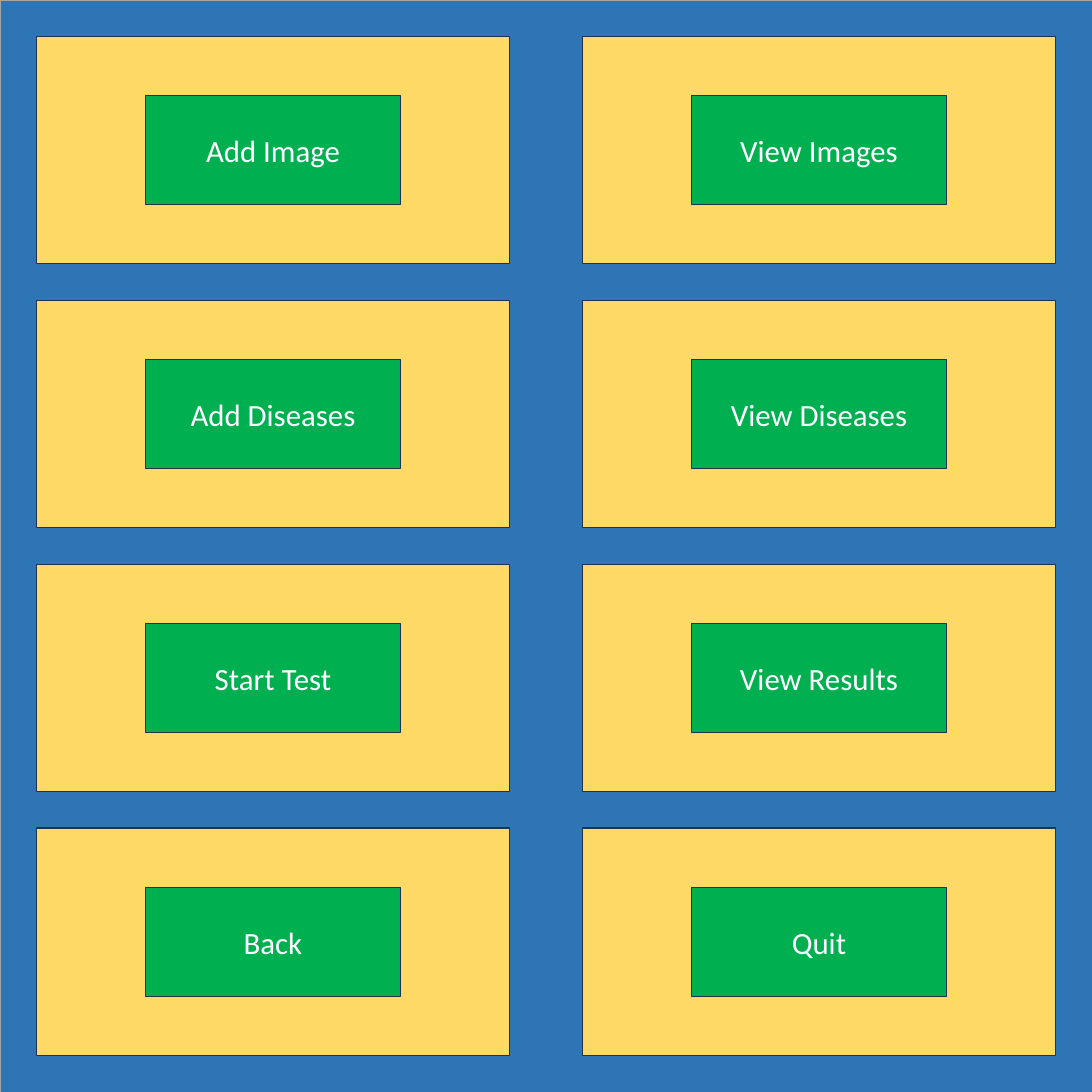
import dataclasses

import pptx
import pptx.dml.color
import pptx.enum.shapes
import pptx.enum.text
import pptx.util

COLOURS = {
    "background": "2E75B6",
    "frame": "A5A5A5",
    "card": "FFD966",
    "button": "00B050",
    "outline": "1E3256",
    "label": "FFFFFF",
}

# Grid: the square slide is 30 units wide and high, one unit is 1 cm
SIDE = 30
MARGIN = 1
CARD_WIDTH, CARD_HEIGHT = 13, 6.25
BUTTON_WIDTH, BUTTON_HEIGHT = 7, 3
COLUMN_STEP = SIDE / 2
ROW_STEP = CARD_HEIGHT + MARGIN

MENU = [
    ["Add Image", "Add Diseases", "Start Test", "Back"],
    ["View Images", "View Diseases", "View Results", "Quit"],
]


@dataclasses.dataclass
class Box:
    left: float
    top: float
    width: float
    height: float

    def centred(self, width: float, height: float) -> "Box":
        return Box(self.left + (self.width - width) / 2,
                   self.top + (self.height - height) / 2, width, height)


@dataclasses.dataclass
class MenuItem:
    label: str
    column: int
    row: int

    def card(self) -> Box:
        return Box(MARGIN + self.column * COLUMN_STEP,
                   MARGIN + self.row * ROW_STEP, CARD_WIDTH, CARD_HEIGHT)


def colour(name: str) -> pptx.dml.color.RGBColor:
    return pptx.dml.color.RGBColor.from_string(COLOURS[name])


def add_rectangle(shapes, box: Box, fill: str, line: str = "outline",
                  line_width: float = 1):
    shape = shapes.add_shape(
        pptx.enum.shapes.MSO_SHAPE.RECTANGLE,
        *(pptx.util.Cm(length) for length in dataclasses.astuple(box)))
    shape.shadow.inherit = False
    shape.fill.solid()
    shape.fill.fore_color.rgb = colour(fill)
    shape.line.color.rgb = colour(line)
    shape.line.width = pptx.util.Pt(line_width)
    return shape


def add_label(shape, text: str) -> None:
    frame = shape.text_frame
    frame.text = text
    frame.word_wrap = True
    frame.vertical_anchor = pptx.enum.text.MSO_ANCHOR.MIDDLE
    para = frame.paragraphs[0]
    para.alignment = pptx.enum.text.PP_ALIGN.CENTER
    font = para.runs[0].font
    font.name = "Calibri"
    font.size = pptx.util.Pt(24)
    font.color.rgb = colour("label")


def add_menu_item(page, item: MenuItem) -> None:
    group = page.shapes.add_group_shape()
    card = item.card()
    add_rectangle(group.shapes, card, "card")
    button = add_rectangle(
        group.shapes, card.centred(BUTTON_WIDTH, BUTTON_HEIGHT), "button")
    add_label(button, item.label)


def main() -> None:
    deck = pptx.Presentation()
    deck.slide_width = deck.slide_height = pptx.util.Cm(SIDE)
    page = deck.slides.add_slide(deck.slide_layouts[6])

    # Background panel
    add_rectangle(page.shapes, Box(0, 0, SIDE, SIDE), "background", "frame", 0.5)

    # Menu cards, column by column
    for column, labels in enumerate(MENU):
        for row, label in enumerate(labels):
            add_menu_item(page, MenuItem(label, column, row))

    deck.save("out.pptx")


if __name__ == "__main__":
    main()
